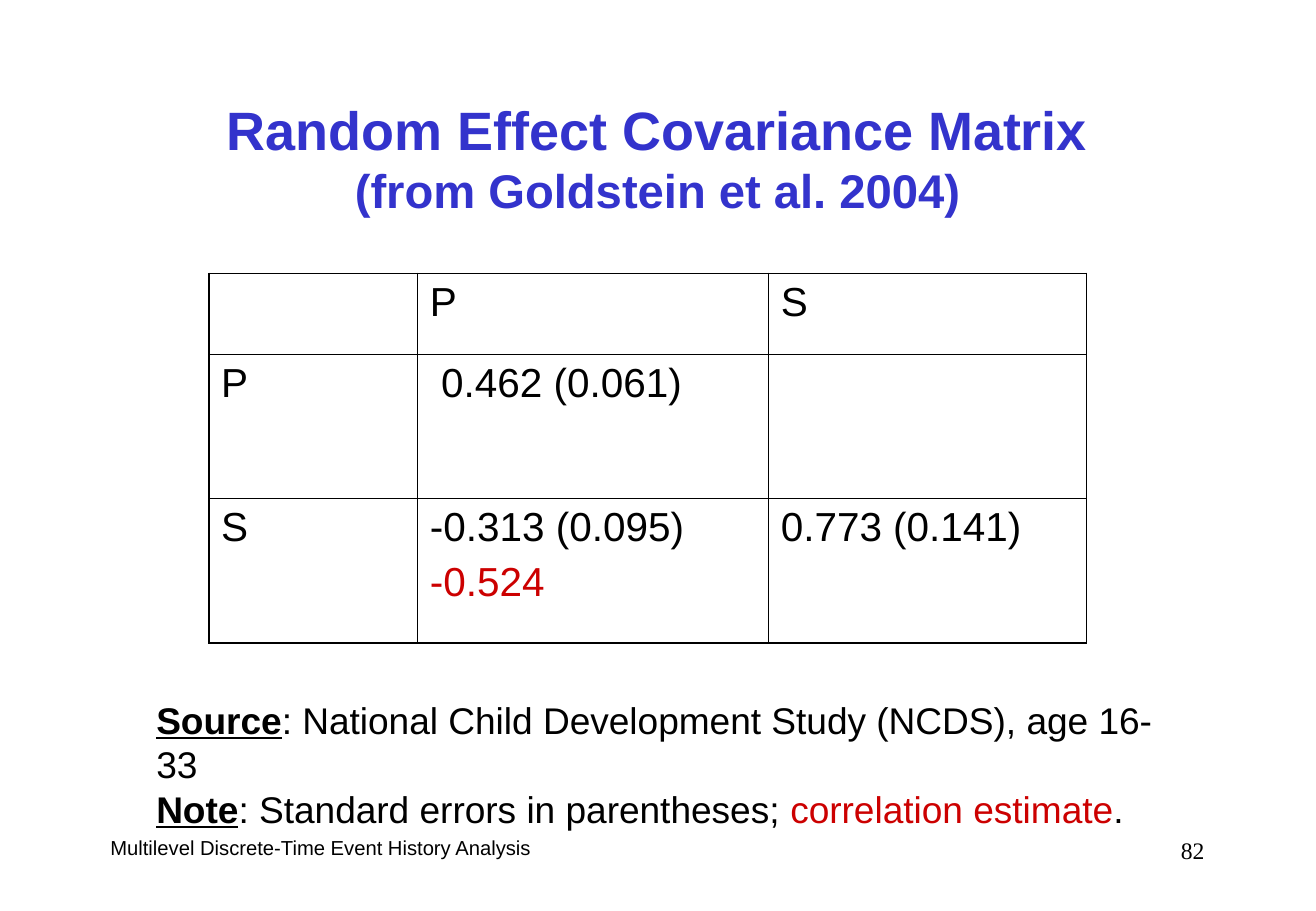
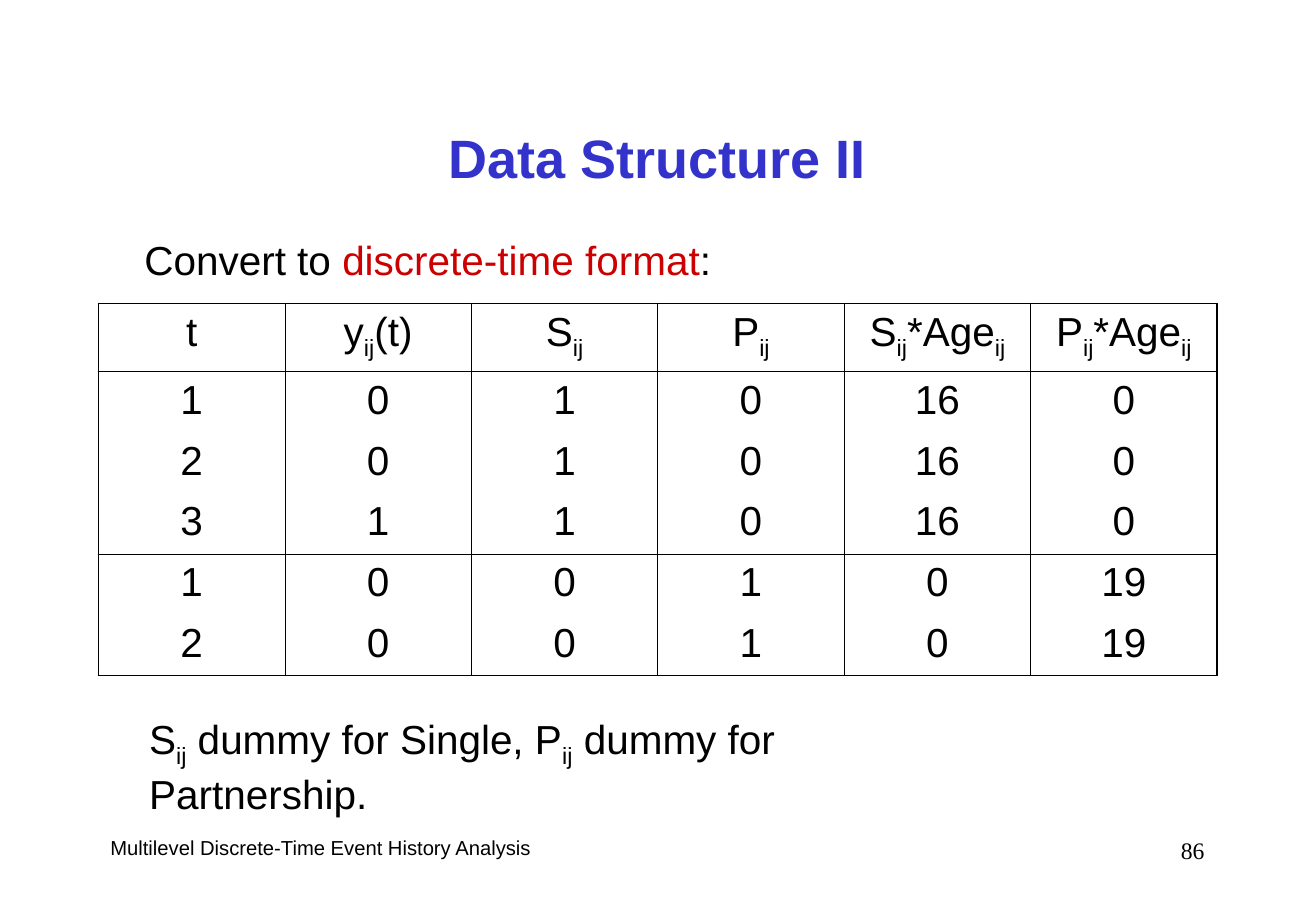
from dataclasses import dataclass

from lxml import etree
from pptx import Presentation
from pptx import util as u
from pptx.dml.color import RGBColor
from pptx.enum import text
from pptx.oxml import ns


@dataclass(frozen=True)
class Theme:
    black: str = "000000"
    title: str = "3333CC"
    accent: str = "CC0000"
    font: str = "Arial"
    number_font: str = "Times New Roman"
    title_size: int = 32
    subtitle_size: int = 28
    body_size: int = 24
    note_size: int = 22
    number_size: int = 14
    footer_size: int = 12
    space_before: int = 6
    outer_line: float = 1.08
    inner_line: float = 0.45


@dataclass(frozen=True)
class Box:
    left: float
    top: float
    width: float
    height: float

    def emu(self) -> tuple:
        return tuple(u.Cm(v) for v in (self.left, self.top, self.width, self.height))


@dataclass(frozen=True)
class Run:
    text: str
    color: str = Theme.black
    bold: bool = False
    underline: bool = False
    sub: bool = False


@dataclass(frozen=True)
class Grid:
    left: float
    top: float
    cols: list
    rows: list
    cells: list
    rules_below: tuple
    align: text.PP_ALIGN = text.PP_ALIGN.LEFT


T = Theme()
SLIDE_W, SLIDE_H = 27.53, 19.05
TITLE = Box(2.06, 1.7, 23.39, 3.18)
FOOTER = Box(2.06, 17.35, 16.05, 1.27)
NUMBER = Box(19.71, 17.35, 5.74, 1.27)
FOOTER_TEXT = "Multilevel Discrete-Time Event History Analysis"
NO_STYLE = "{2D5ABB26-0587-4C30-8999-92F81FD0307C}"
IJ = Run("ij", sub=True)


def style(r, size: float, color: str = T.black, font: str = T.font, bold: bool = False) -> None:
    r.font.size = u.Pt(size)
    r.font.name = font
    r.font.bold = bold
    r.font.color.rgb = RGBColor.from_string(color)


def write(tf, paragraphs: list, size: float, font: str = T.font,
          align: text.PP_ALIGN = text.PP_ALIGN.LEFT, before: float = 0) -> None:
    for i, runs in enumerate(paragraphs):
        p = tf.paragraphs[0] if i == 0 else tf.add_paragraph()
        p.alignment = align
        p.space_before = u.Pt(before)
        for run in runs:
            r = p.add_run()
            r.text = run.text
            style(r, size, run.color, font, run.bold)
            r.font.underline = run.underline
            if run.sub:
                r.font._element.set("baseline", "-25000")


def add_text(s, box: Box, paragraphs: list, size: float, font: str = T.font,
             align: text.PP_ALIGN = text.PP_ALIGN.LEFT, wrap: bool = False) -> None:
    tf = s.shapes.add_textbox(*box.emu()).text_frame
    tf.word_wrap = wrap
    tf.auto_size = text.MSO_AUTO_SIZE.NONE if wrap else text.MSO_AUTO_SIZE.SHAPE_TO_FIT_TEXT
    write(tf, paragraphs, size, font, align)


def add_border(cell, side: str, width: float) -> None:
    ln = etree.SubElement(cell._tc.get_or_add_tcPr(), ns.qn(f"a:ln{side}"))
    if not width:
        etree.SubElement(ln, ns.qn("a:noFill"))
        return
    ln.set("w", str(int(u.Pt(width))))
    fill = etree.SubElement(ln, ns.qn("a:solidFill"))
    etree.SubElement(fill, ns.qn("a:srgbClr")).set("val", T.black)


def add_grid(s, grid: Grid) -> None:
    n_rows, n_cols = len(grid.rows), len(grid.cols)
    box = Box(grid.left, grid.top, sum(grid.cols), sum(grid.rows))
    table = s.shapes.add_table(n_rows, n_cols, *box.emu()).table
    table.first_row = table.horz_banding = False
    table._tbl.tblPr.find(ns.qn("a:tableStyleId")).text = NO_STYLE
    for col, width in zip(table.columns, grid.cols):
        col.width = u.Cm(width)
    for row, height in zip(table.rows, grid.rows):
        row.height = u.Cm(height)

    def rule(i: int) -> float:
        if i in (-1, n_rows - 1):
            return T.outer_line
        return T.inner_line if i in grid.rules_below else 0

    for i, row in enumerate(grid.cells):
        for j, paragraphs in enumerate(row):
            cell = table.cell(i, j)
            write(cell.text_frame, paragraphs, T.body_size, align=grid.align,
                  before=T.space_before)
            add_border(cell, "L", T.inner_line if j else T.outer_line)
            add_border(cell, "R", T.inner_line if j < n_cols - 1 else T.outer_line)
            add_border(cell, "T", rule(i - 1))
            add_border(cell, "B", rule(i))
            cell.fill.background()


def add_slide(prs, title: str, number: int, subtitle: str = ""):
    s = prs.slides.add_slide(prs.slide_layouts[5])
    sp = s.shapes.title
    sp.left, sp.top, sp.width, sp.height = TITLE.emu()
    tf = sp.text_frame
    tf.vertical_anchor = text.MSO_ANCHOR.MIDDLE
    tf.auto_size = text.MSO_AUTO_SIZE.NONE
    write(tf, [[Run(title, T.title, bold=True)]], T.title_size, align=text.PP_ALIGN.CENTER)
    if subtitle:
        p = tf.paragraphs[0]
        p.add_line_break()
        r = p.add_run()
        r.text = subtitle
        style(r, T.subtitle_size, T.title, bold=True)
    add_text(s, FOOTER, [[Run(FOOTER_TEXT)]], T.footer_size, wrap=True)
    add_text(s, NUMBER, [[Run(str(number))]], T.number_size, T.number_font,
             text.PP_ALIGN.RIGHT, wrap=True)
    return s


def plain(*values: str) -> list:
    return [[[Run(v)]] if v else [] for v in values]


def build_covariance(prs) -> None:
    s = add_slide(prs, "Random Effect Covariance Matrix", 82, "(from Goldstein et al. 2004)")
    cells = [
        plain("", "P", "S"),
        plain("P", " 0.462 (0.061)", ""),
        plain("S", "-0.313 (0.095)", "0.773 (0.141)"),
    ]
    cells[2][1].append([Run("-0.524", T.accent)])
    add_grid(s, Grid(4.37, 5.72, [4.37, 7.34, 6.65], [1.7, 3.01, 3.01], cells, (0, 1)))
    notes = [
        [Run("Source", bold=True, underline=True),
         Run(": National Child Development Study (NCDS), age 16-33")],
        [Run("Note", bold=True, underline=True),
         Run(": Standard errors in parentheses; "),
         Run("correlation estimate", T.accent), Run(".")],
    ]
    add_text(s, Box(3.02, 14.45, 22.2, 2.13), notes, T.note_size)


def build_data_structure(prs) -> None:
    s = add_slide(prs, "Data Structure II", 86)
    intro = [Run("Convert to "), Run("discrete-time format", T.accent), Run(":")]
    add_text(s, Box(2.77, 4.78, 12.37, 1.27), [intro], T.body_size)
    header = [
        [Run("t")],
        [Run("y"), IJ, Run("(t)")],
        [Run("S"), IJ],
        [Run("P"), IJ],
        [Run("S"), IJ, Run("*Age"), IJ],
        [Run("P"), IJ, Run("*Age"), IJ],
    ]
    records = ["1 0 1 0 16 0", "2 0 1 0 16 0", "3 1 1 0 16 0", "1 0 0 1 0 19", "2 0 0 1 0 19"]
    cells = [[[runs] for runs in header]] + [plain(*rec.split()) for rec in records]
    add_grid(s, Grid(2.06, 6.35, [3.9] * len(header), [1.42] + [1.27] * len(records),
                     cells, (0, 3), text.PP_ALIGN.CENTER))
    legend = [Run("S"), IJ, Run(" dummy for Single, P"), IJ, Run(" dummy for Partnership.")]
    add_text(s, Box(2.87, 14.81, 18.39, 1.42), [legend], T.body_size)


def main() -> None:
    prs = Presentation()
    prs.slide_width, prs.slide_height = u.Cm(SLIDE_W), u.Cm(SLIDE_H)
    build_covariance(prs)
    build_data_structure(prs)
    prs.save("out.pptx")


if __name__ == "__main__":
    main()
